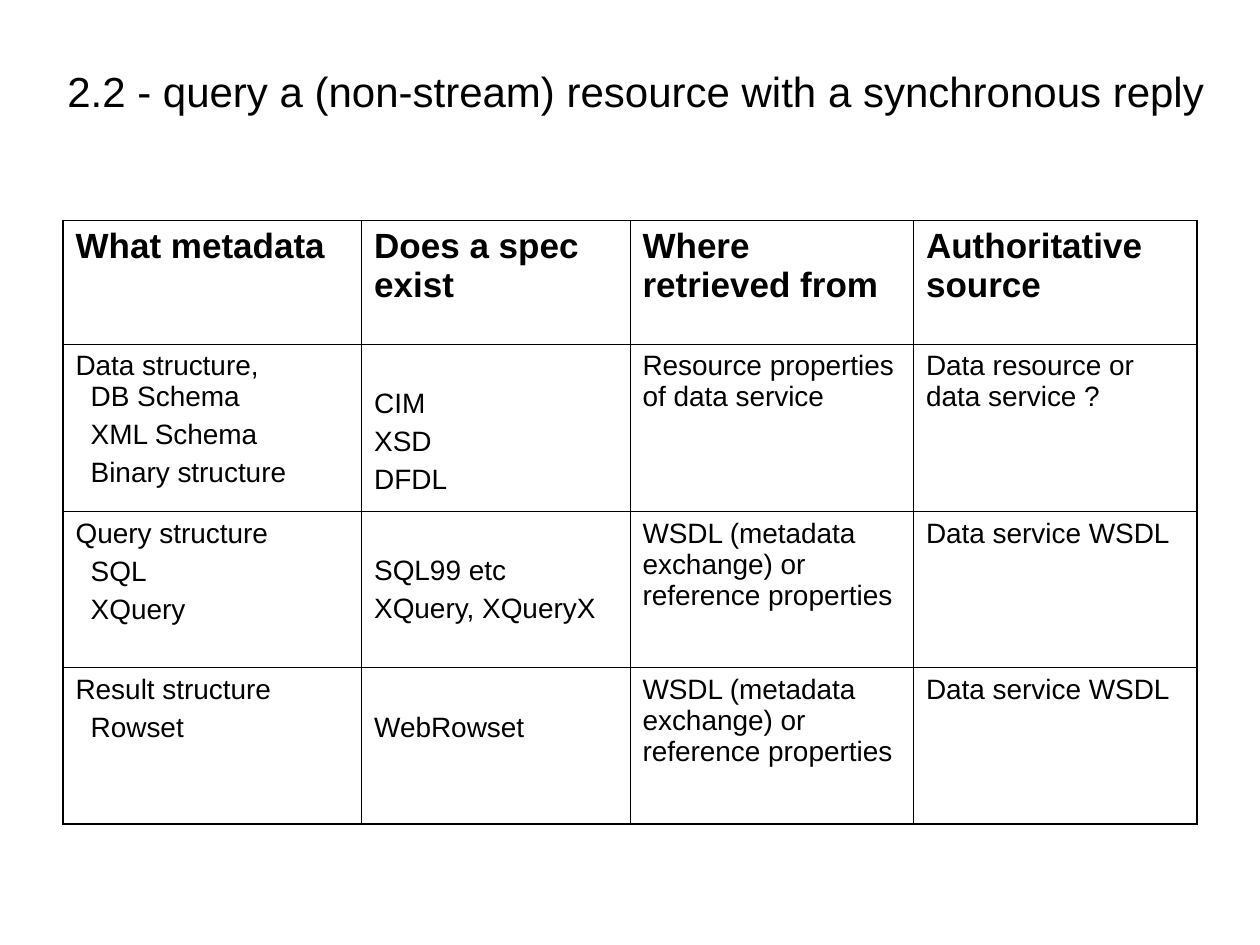
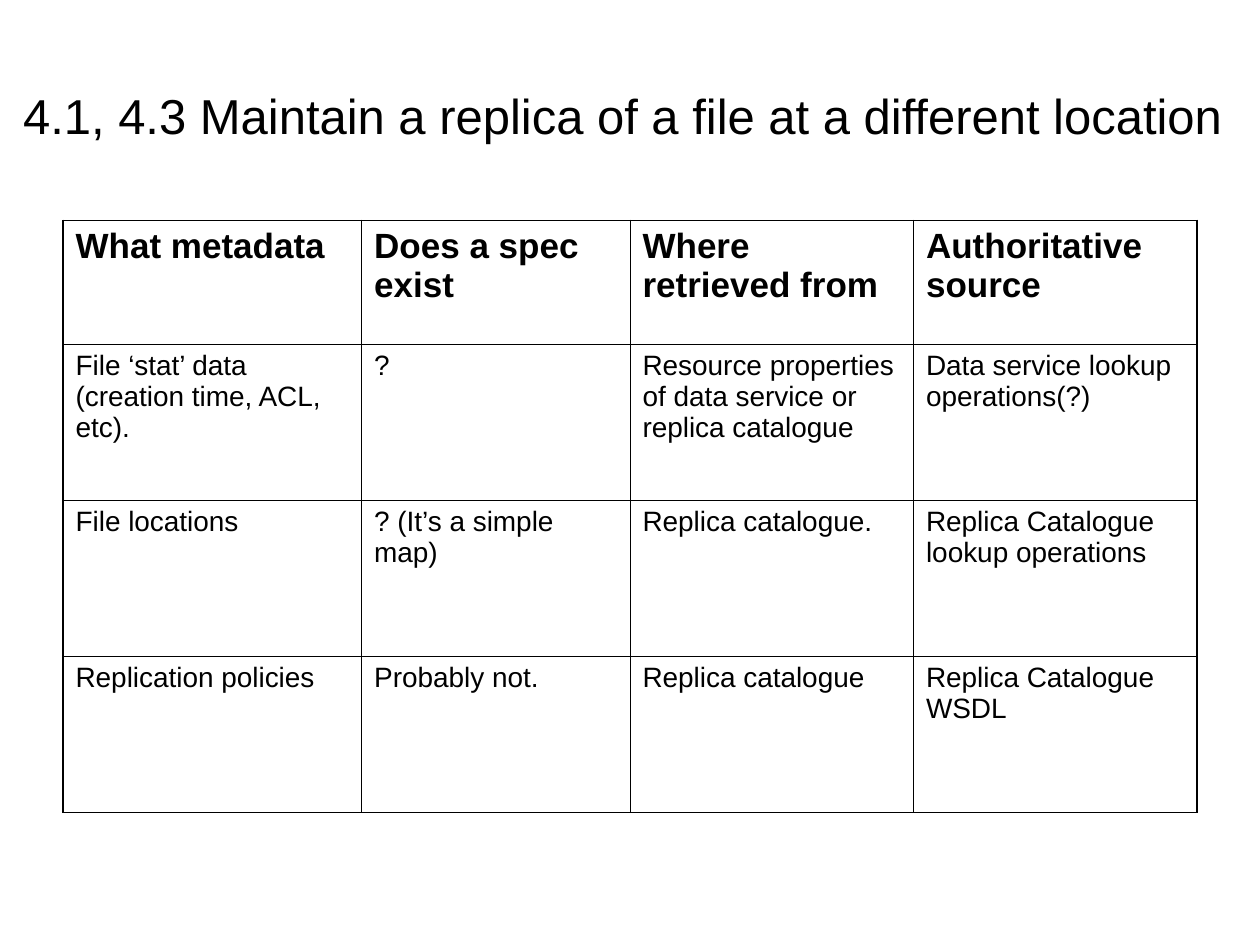
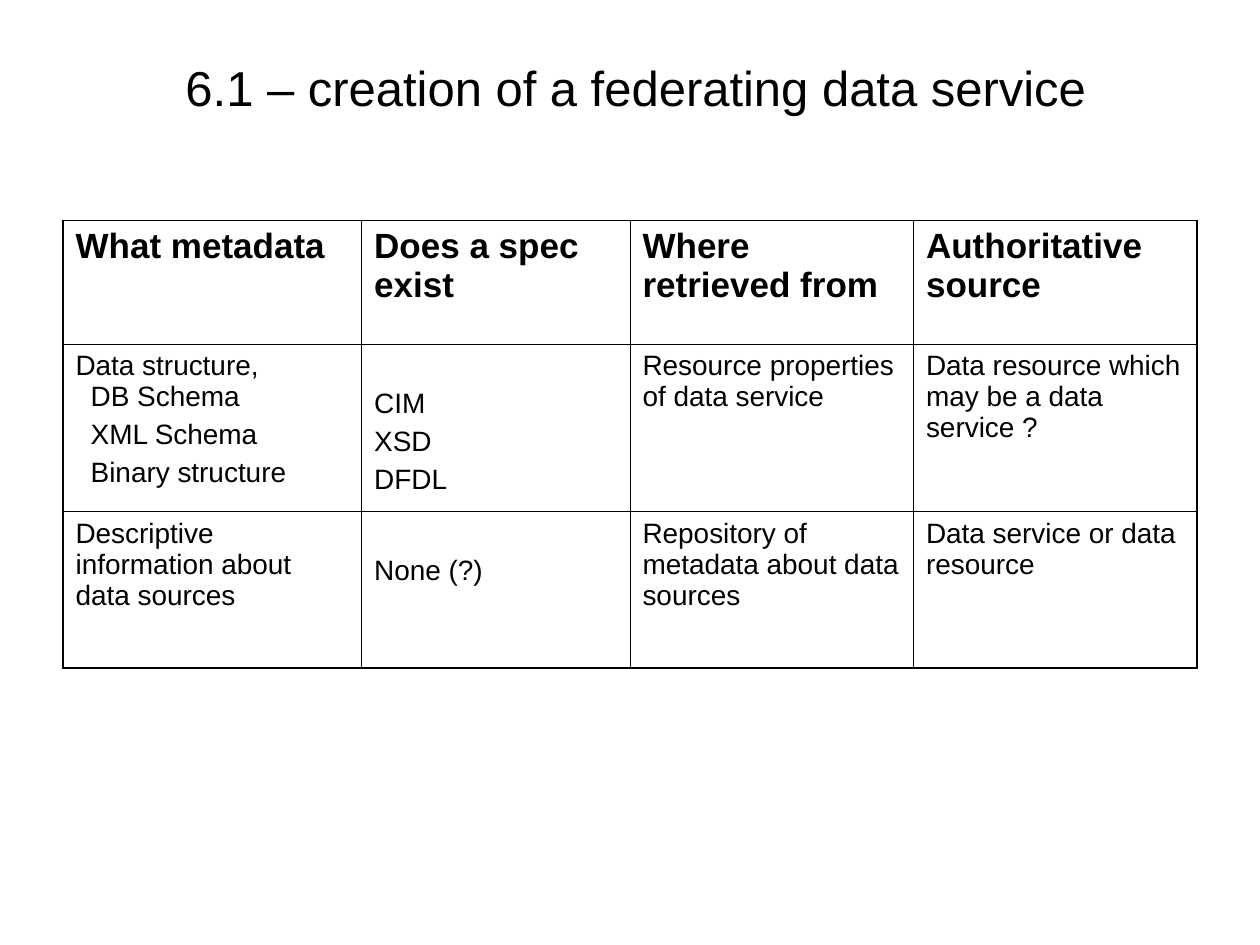
from lxml import etree
from pptx import Presentation
from pptx import util as u
from pptx.dml import color
from pptx.enum import text
from pptx.oxml import ns

FONT = "Arial"
INK = "000000"
OUTER_RULE, INNER_RULE = 1.08, 0.45
COLUMN_WIDTHS = (2.37, 2.13, 2.25, 2.25)
HEADER_HEIGHT, ROW_HEIGHT, TALL_ROW_HEIGHT = 0.98, 1.24, 1.33
TABLE_LEFT, TABLE_TOP = 0.5, 1.75
TITLE_TOP, TITLE_HEIGHT = 0.29, 1.25
PADDING = 0.05
ITEM_INDENT = 0.12
ITEMS_DROP = 0.3
LINE_SPACING = 1.15

HEADINGS = ("What metadata", "Does a spec exist", "Where retrieved from", "Authoritative source")
DATA_STRUCTURE = ("Data structure,\vDB Schema", "XML Schema", "Binary structure")
DATA_SPECS = ("", "CIM", "XSD", "DFDL")
SERVICE_PROPERTIES = "Resource properties of data service"
WSDL_OR_REFERENCE = "WSDL (metadata exchange) or reference properties"

QUERY_ROWS = (
    (DATA_STRUCTURE, DATA_SPECS, SERVICE_PROPERTIES, "Data resource or data service ?"),
    (("Query structure", "SQL", "XQuery"), ("", "SQL99 etc", "XQuery, XQueryX"),
     WSDL_OR_REFERENCE, "Data service WSDL"),
    (("Result structure", "Rowset"), ("", "WebRowset"), WSDL_OR_REFERENCE, "Data service WSDL"),
)
REPLICA_ROWS = (
    ("File ‘stat’ data (creation time, ACL, etc).", "?",
     "Resource properties of data service or replica catalogue",
     "Data service lookup operations(?)"),
    ("File locations", "? (It’s a simple map)", "Replica catalogue.",
     "Replica Catalogue lookup operations"),
    ("Replication policies", "Probably not.", "Replica catalogue", "Replica Catalogue WSDL"),
)
FEDERATION_ROWS = (
    (DATA_STRUCTURE, DATA_SPECS, SERVICE_PROPERTIES,
     "Data resource which may be a data service ?"),
    ("Descriptive information about data sources", ("", "None (?)"),
     "Repository of metadata about data sources", "Data service or data resource"),
)


def rgb(hex_code):
    """Turn a hex string into a colour."""
    return color.RGBColor.from_string(hex_code)


def write(paragraph, wording, size, bold=False):
    """Add the wording as styled runs, with a line break at each vertical tab."""
    for number, line in enumerate(wording.split("\v")):
        if number:
            paragraph.add_line_break()
        run = paragraph.add_run()
        run.text = line
        run.font.name = FONT
        run.font.size = u.Pt(size)
        run.font.bold = bold
        run.font.color.rgb = rgb(INK)


def indent(paragraph, first_line=0):
    """Indent a paragraph as a list item, with an offset for its first line."""
    properties = paragraph._p.get_or_add_pPr()
    properties.set("marL", str(u.Inches(ITEM_INDENT)))
    properties.set("indent", str(u.Inches(first_line)))


def rule_cell(cell, widths):
    """Draw the left, right, top and bottom rules of a cell and clear its fill."""
    properties = cell._tc.get_or_add_tcPr()
    for side, width in zip("LRTB", widths):
        line = etree.SubElement(properties, ns.qn(f"a:ln{side}"), w=str(u.Pt(width)))
        fill = etree.SubElement(line, ns.qn("a:solidFill"))
        etree.SubElement(fill, ns.qn("a:srgbClr"), val=INK)
    cell.fill.background()


def fill_cell(cell, content, size, bold):
    """Write a plain text, or a heading followed by its items, into a cell."""
    heading, *items = (content,) if isinstance(content, str) else content
    frame = cell.text_frame
    if heading:
        write(frame.paragraphs[0], heading, size, bold)
        if "\v" in heading:
            indent(frame.paragraphs[0], -ITEM_INDENT)
    else:
        cell.margin_top = u.Inches(PADDING + ITEMS_DROP)
    for number, item in enumerate(items):
        starts_cell = not heading and number == 0
        paragraph = frame.paragraphs[0] if starts_cell else frame.add_paragraph()
        if heading:
            indent(paragraph)
        if not starts_cell:
            paragraph.space_before = u.Pt(4)
        write(paragraph, item, size, bold)


def add_title(slide, wording, size, left, width, raised):
    """Place the title, raised by half a line where asked."""
    title = slide.shapes.title
    title.left, title.top = u.Inches(left), u.Inches(TITLE_TOP)
    title.width, title.height = u.Inches(width), u.Inches(TITLE_HEIGHT)
    frame = title.text_frame
    frame.auto_size = text.MSO_AUTO_SIZE.NONE
    frame.vertical_anchor = text.MSO_ANCHOR.MIDDLE
    spare_line = size * LINE_SPACING / 72 if raised else 0
    frame.margin_bottom = u.Inches(PADDING + spare_line)
    frame.paragraphs[0].alignment = text.PP_ALIGN.CENTER
    write(frame.paragraphs[0], wording, size)


def add_metadata_table(slide, body):
    """Draw the metadata table with its heading row and body rows."""
    rows = (HEADINGS, *body)
    heights = [HEADER_HEIGHT] + [
        TALL_ROW_HEIGHT if row[0] == DATA_STRUCTURE else ROW_HEIGHT for row in body]
    table = slide.shapes.add_table(
        len(rows), len(HEADINGS), u.Inches(TABLE_LEFT), u.Inches(TABLE_TOP),
        u.Inches(sum(COLUMN_WIDTHS)), u.Inches(sum(heights))).table
    table.first_row = table.horz_banding = False
    for column, width in zip(table.columns, COLUMN_WIDTHS):
        column.width = u.Inches(width)
    last_row, last_column = len(rows) - 1, len(HEADINGS) - 1
    for r, (row, height) in enumerate(zip(rows, heights)):
        table.rows[r].height = u.Inches(height)
        for c, content in enumerate(row):
            edges = (c == 0, c == last_column, r == 0, r == last_row)
            cell = table.cell(r, c)
            rule_cell(cell, [OUTER_RULE if edge else INNER_RULE for edge in edges])
            fill_cell(cell, content, 20 if r == 0 else 16, r == 0)


def main():
    """Build the three use case slides."""
    deck = Presentation()
    deck.slide_width, deck.slide_height = u.Inches(10), u.Inches(7.5)
    use_cases = (
        ("2.2 - query a (non-stream) resource with a synchronous reply",
         24, 0.2, 9.69, True, QUERY_ROWS),
        ("4.1, 4.3 Maintain a replica of a file at a different location",
         28, 0, 9.88, False, REPLICA_ROWS),
        ("6.1 – creation of a federating data service",
         28, 0.2, 9.69, True, FEDERATION_ROWS),
    )
    for wording, size, left, width, raised, body in use_cases:
        slide = deck.slides.add_slide(deck.slide_layouts[5])
        add_title(slide, wording, size, left, width, raised)
        add_metadata_table(slide, body)
    deck.save("out.pptx")


if __name__ == "__main__":
    main()
